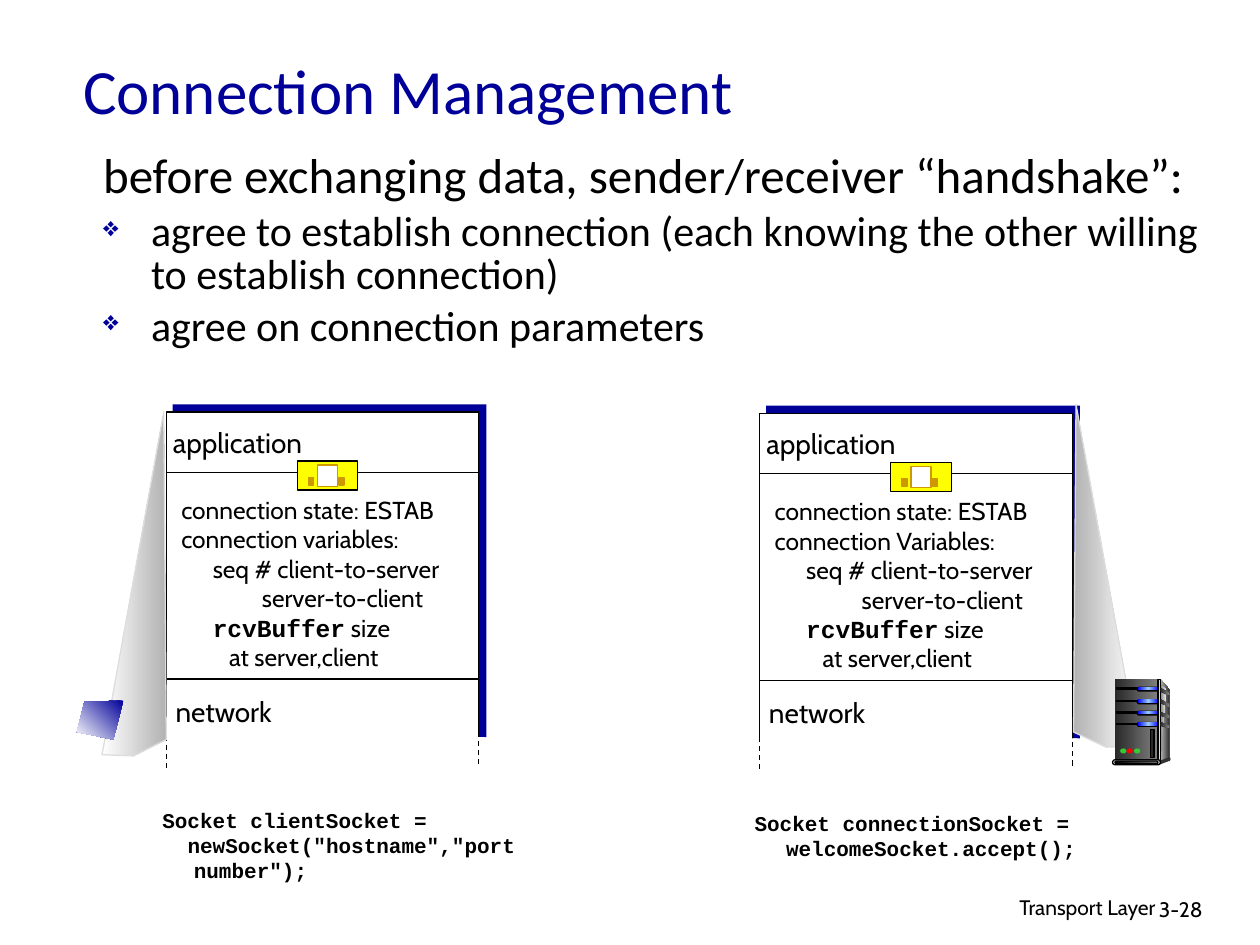
from copy import deepcopy

from lxml import etree
from pptx import Presentation, util as u
from pptx.dml.color import RGBColor
from pptx.enum import dml, shapes, text
from pptx.oxml.ns import qn

NAVY = RGBColor(0x00, 0x00, 0x99)
BLACK = RGBColor(0x00, 0x00, 0x00)
WHITE = RGBColor(0xFF, 0xFF, 0xFF)
YELLOW = RGBColor(0xFF, 0xFF, 0x00)
GOLD = RGBColor(0xCC, 0x99, 0x00)
SILVER = RGBColor(0xB2, 0xB2, 0xB2)
PALE = RGBColor(0xDD, 0xDD, 0xDD)
MIST = RGBColor(0xF8, 0xF8, 0xF8)
GRAY = RGBColor(0x80, 0x80, 0x80)
DARK = RGBColor(0x33, 0x33, 0x33)
COAL = RGBColor(0x29, 0x29, 0x29)
BLUE = RGBColor(0x00, 0x00, 0xFF)
SKY = RGBColor(0x99, 0xCC, 0xFF)
GREEN = RGBColor(0x33, 0xCC, 0x33)
RED = RGBColor(0xFF, 0x00, 0x00)
CODE = "Courier New"
KIND = shapes.MSO_SHAPE
LEFT, MID, RIGHT = text.PP_ALIGN.LEFT, text.PP_ALIGN.CENTER, text.PP_ALIGN.RIGHT

deck = Presentation()
deck.slide_width, deck.slide_height = u.Inches(10), u.Inches(7.5)
slide = deck.slides.add_slide(deck.slide_layouts[5])
page = slide.shapes


def write(lines, spot, size=14, font="Cabin", color=BLACK, bold=False,
          align=LEFT, wrap=True, space=None, before=0, box=None):
    """Write lines of (runs, margin, indent, bullet); runs are text or (text, font) pairs."""
    box = box or page.add_textbox(0, 0, 0, 0)
    box.left, box.top, box.width, box.height = map(u.Inches, spot)
    frame = box.text_frame
    frame.word_wrap = wrap
    for i, (runs, margin, indent, mark) in enumerate(lines):
        para = frame.add_paragraph() if i else frame.paragraphs[0]
        para.alignment, para.line_spacing, para.space_before = align, space, u.Pt(before)
        props = para._p.get_or_add_pPr()
        props.set("marL", str(u.Inches(margin)))
        props.set("indent", str(u.Inches(indent)))
        if mark:
            tint = etree.SubElement(props, qn("a:buClr"))
            etree.SubElement(tint, qn("a:srgbClr"), val=str(NAVY))
            etree.SubElement(props, qn("a:buSzPct"), val="65000")
            etree.SubElement(props, qn("a:buChar"), char=mark)
        for words, face in [(runs, font)] if isinstance(runs, str) else runs:
            run = para.add_run()
            run.text = words
            run.font.name, run.font.size = face, u.Pt(24 if mark else size)
            run.font.bold, run.font.color.rgb = bold or face == CODE, color
    return box


def draw(kind, spot, fill=None, line=None, angle=0, dash=False, home=page):
    """Draw a preset shape, a "line" from corner to corner, or a "free" outline of points."""
    if kind == "line":
        item = home.add_connector(shapes.MSO_CONNECTOR.STRAIGHT, *map(u.Inches, spot))
        etree.SubElement(item._element.spPr, qn("a:effectLst"))
    elif kind == "free":
        points = [(u.Inches(x), u.Inches(y)) for x, y in spot]
        pen = home.build_freeform(*points[0])
        pen.add_line_segments(points[1:], close=True)
        item = pen.convert_to_shape()
    else:
        item = home.add_shape(kind, *map(u.Inches, spot))
        if kind == KIND.ROUNDED_RECTANGLE:
            item.adjustments[0] = 0.5
    if kind != "line":
        item.shadow.inherit = False
        if isinstance(fill, RGBColor):
            item.fill.solid()
            item.fill.fore_color.rgb = fill
        else:
            item.fill.gradient()
            item.fill.gradient_angle = angle
            stops = item.fill.gradient_stops
            stops[0].color.rgb, stops[1].color.rgb = fill[0], fill[-1]
            if len(fill) == 3:
                first = item._element.spPr.find(".//" + qn("a:gs"))
                extra = deepcopy(first)
                extra.set("pos", "50000")
                first.addnext(extra)
                item.fill.gradient_stops[1].color.rgb = fill[1]
    if line is None:
        item.line.fill.background()
    else:
        item.line.color.rgb, item.line.width = line, u.Pt(0.75)
        if dash:
            item.line.dash_style = dml.MSO_LINE.DASH


# Heading, bullets and footer
write([("Connection Management", 0, 0, None)], (0.56, 0.21, 8.5, 1), size=36,
      font="Calibri", color=NAVY, box=page.title)
page.title.text_frame.vertical_anchor = text.MSO_ANCHOR.MIDDLE
write([("before exchanging data, sender/receiver “handshake”:", 0.38, -0.38, None),
       ("agree to establish connection (each knowing the other willing to establish connection)",
        0.38, -0.38, "❖"),
       ("agree on connection parameters", 0.38, -0.38, "❖")],
      (0.72, 1.17, 9.12, 2.39), size=28, font="Calibri", space=0.85, before=5)
write([("Transport Layer", 0, 0, None)], (6.1, 7.05, 3.17, 0.31), size=12, align=RIGHT)
write([("3-28", 0, 0, None)], (9.1, 7.07, 0.74, 0.3), size=12)

# Client and server protocol stacks
hosts = [
    (1.32, 3.27, "variables", 0.64, (WHITE, SILVER),
     [(0.81, 5.99), (1.3, 3.27), (1.32, 5.87), (1.06, 6)]),
    (6.03, 3.28, "Variables", 0.69, (SILVER, WHITE),
     [(9.03, 5.92), (8.54, 3.21), (8.52, 5.81), (8.78, 5.93)]),
]
for x, y, word, inset, shade, cone in hosts:
    draw(KIND.RECTANGLE, (x + 0.05, y - 0.06, 2.49, 2.64), NAVY)
    draw(KIND.RECTANGLE, (x, y, 2.48, 2.7), WHITE, BLACK)
    draw("line", (x, y + 0.48, x + 2.48, y + 0.48), line=BLACK)
    write([("connection state: ESTAB", 0, 0, None),
           (f"connection {word}:", 0, 0, None),
           ("seq # client-to-server", 0.25, 0, None),
           ("server-to-client", inset, 0, None),
           ([("rcvBuffer", CODE), (" size", "Cabin")], 0.25, 0, None),
           ("at server,client", 0.38, 0, None)],
          (x + 0.02, y + 0.61, 2.55, 1.73))
    socket = page.add_group_shape().shapes
    draw(KIND.RECTANGLE, (x + 1.04, y + 0.39, 0.48, 0.23), YELLOW, BLACK, home=socket)
    draw(KIND.RECTANGLE, (x + 1.2, y + 0.42, 0.16, 0.17), WHITE, GOLD, home=socket)
    for gap in (1.13, 1.37):
        draw(KIND.RECTANGLE, (x + gap, y + 0.52, 0.04, 0.06), GOLD, GOLD, home=socket)
    write([("application", 0, 0, None)], (x - 0.06, y + 0.06, 1.25, 0.37),
          size=16, align=MID, wrap=False)
    draw("line", (x, y + 2.12, x + 2.48, y + 2.12), line=BLACK)
    write([("network", 0, 0, None)], (x - 0.04, y + 2.19, 0.99, 0.37),
          size=16, align=MID, wrap=False)
    draw(KIND.RECTANGLE, (x - 0.03, y + 2.58, 2.55, 0.2), WHITE)
    for side, drop in ((0, 2.57), (2.48, 2.54)):
        draw("line", (x + side, y + drop, x + side, y + drop + 0.26), line=BLACK, dash=True)
    draw("free", cone, shade, PALE)

# Socket calls
write([("Socket clientSocket =", 0.25, -0.25, None),
       ('newSocket("hostname","port number");', 0.25, -0.05, None)],
      (1.19, 6.36, 3.16, 0.7), size=12, font=CODE, bold=True)
write([("Socket connectionSocket = welcomeSocket.accept();", 0.25, -0.25, None)],
      (5.89, 6.38, 3.16, 0.5), size=12, font=CODE, bold=True)

# Client screen
draw("free", [(0.98, 5.56), (0.67, 5.57), (0.61, 5.81), (0.9, 5.87)],
     (NAVY, WHITE), angle=225)

# Server tower
tower = page.add_group_shape().shapes
draw("free", [(9.21, 5.39), (9.28, 5.47), (9.28, 6.01), (9.19, 6.04)], (PALE, DARK), home=tower)
draw(KIND.RECTANGLE, (8.85, 5.39, 0.34, 0.65), (COAL, GRAY), home=tower)
draw("free", [(9.21, 5.43), (9.26, 5.48), (9.23, 5.75), (9.21, 6.02)], (GRAY, MIST), home=tower)
for y in (5.45, 5.55, 5.64, 5.73):
    draw(KIND.RECTANGLE, (8.86, y + 0.01, 0.19, 0.01), BLACK, BLACK, home=tower)
    draw(KIND.ROUNDED_RECTANGLE, (9.02, y, 0.19, 0.04), BLACK, home=tower)
    draw(KIND.ROUNDED_RECTANGLE, (9.03, y, 0.17, 0.03), (BLUE, SKY, BLUE), home=tower)
draw(KIND.RECTANGLE, (9.19, 5.39, 0.02, 0.65), (DARK, PALE, DARK), BLACK, home=tower)
for y, drop in ((5.46, 0.04), (5.55, 0.04), (5.65, 0.03), (5.73, 0.03)):
    draw("free", [(9.21, y), (9.28, y + drop), (9.28, y + drop + 0.02), (9.21, y + 0.03)],
         (COAL, GRAY), home=tower)
draw(KIND.OVAL, (9.27, 6.01, 0.02, 0.03), DARK, home=tower)
draw("free", [(9.2, 6.04), (9.2, 6.07), (9.28, 6.04), (9.28, 6.01)], DARK, home=tower)
draw(KIND.ROUNDED_RECTANGLE, (8.83, 6.03, 0.38, 0.04), PALE, BLACK, home=tower)
draw(KIND.ROUNDED_RECTANGLE, (8.85, 6.04, 0.34, 0.02), (BLACK, GRAY), BLACK, home=tower)
for x, lamp in ((8.89, GREEN), (8.94, RED), (9, GREEN)):
    draw(KIND.OVAL, (x, 5.94, 0.05, 0.04), lamp, home=tower)
draw(KIND.RECTANGLE, (9.13, 5.79, 0.03, 0.22), COAL, BLACK, home=tower)

deck.save("out.pptx")
